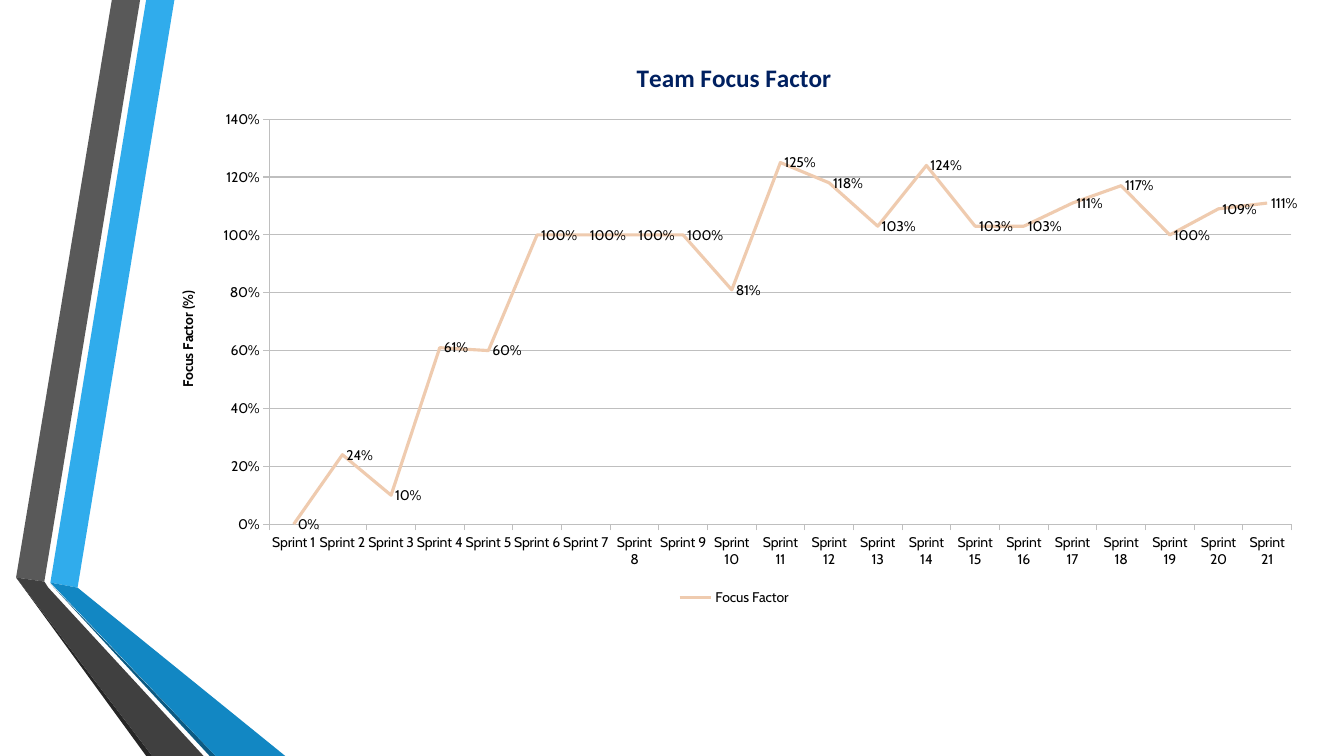
import pptx
import pptx.chart.data
import pptx.dml.color
import pptx.enum.chart
import pptx.oxml
import pptx.oxml.ns
import pptx.util
from pptx.dml.color import RGBColor
from pptx.util import Inches

WHITE = RGBColor(0xFF, 0xFF, 0xFF)
BLACK = RGBColor(0x00, 0x00, 0x00)
NAVY = RGBColor(0x00, 0x20, 0x60)
PEACH = RGBColor(0xEF, 0xCB, 0xAF)
GRID_GRAY = RGBColor(0xBF, 0xBF, 0xBF)
SKY_BLUE = RGBColor(0x30, 0xAC, 0xEC)
MID_BLUE = RGBColor(0x12, 0x87, 0xC3)
DARK_BLUE = RGBColor(0x0C, 0x5A, 0x82)
LIGHT_GRAY = RGBColor(0x59, 0x59, 0x59)
MID_GRAY = RGBColor(0x40, 0x40, 0x40)
DARK_GRAY = RGBColor(0x26, 0x26, 0x26)

# Ribbon outlines, in inches from the top left of their region
RIBBONS = [
    (SKY_BLUE, [(0.5, 5.78), (0.77, 5.83), (1.73, 0), (1.45, 0)]),
    (LIGHT_GRAY, [(1.39, 0), (1.11, 0), (0.16, 5.73), (0.44, 5.77)]),
    (DARK_GRAY, [(0.16, 5.73), (1.45, 7.5), (1.51, 7.5)]),
    (DARK_BLUE, [(0.5, 5.79), (2.08, 7.5), (2.14, 7.5)]),
    (MID_BLUE, [(0.5, 5.78), (2.14, 7.5), (2.83, 7.5), (0.77, 5.83)]),
    (MID_GRAY, [(2.02, 7.5), (0.48, 5.83), (0.44, 5.77), (0.16, 5.73), (1.51, 7.5)]),
]

FOCUS_FACTORS = [0, 0.24, 0.10, 0.61, 0.60, 1, 1, 1, 1, 0.81, 1.25, 1.18, 1.03,
                 1.24, 1.03, 1.03, 1.11, 1.17, 1, 1.09, 1.11]


def set_font(font, size, color, name, bold=False):
    font.size = pptx.util.Pt(size)
    font.color.rgb = color
    font.name = name
    font.bold = bold


def write_title(owner, text, size, color, name):
    frame = owner.text_frame
    frame.text = text
    set_font(frame.paragraphs[0].font, size, color, name, bold=True)


def style_line(line, color, width):
    line.color.rgb = color
    line.width = pptx.util.Pt(width)


def fix_plot_area(chart, left, top, width, height):
    """Place the inner plot area, in fractions of the chart."""
    plot_area = chart._chartSpace.chart.plotArea
    for old_layout in plot_area.findall(pptx.oxml.ns.qn("c:layout")):
        plot_area.remove(old_layout)
    sizes = "".join(f'<c:{tag} val="{value}"/>' for tag, value in
                    zip("xywh", (left, top, width, height)))
    plot_area.insert(0, pptx.oxml.parse_xml(
        f'<c:layout {pptx.oxml.ns.nsdecls("c")}><c:manualLayout>'
        '<c:layoutTarget val="inner"/><c:xMode val="edge"/><c:yMode val="edge"/>'
        f'{sizes}</c:manualLayout></c:layout>'))


def add_ribbons(page, left, top):
    for color, corners in RIBBONS:
        points = [(left + Inches(x), top + Inches(y)) for x, y in corners]
        builder = page.shapes.build_freeform(*points[0])
        builder.add_line_segments(points[1:], close=True)
        ribbon = builder.convert_to_shape()
        ribbon.shadow.inherit = False
        ribbon.fill.solid()
        ribbon.fill.fore_color.rgb = color
        ribbon.line.fill.background()


def add_focus_chart(page, left, top, width, height):
    data = pptx.chart.data.CategoryChartData(number_format="0%")
    data.categories = [f"Sprint {n}" for n in range(1, len(FOCUS_FACTORS) + 1)]
    data.add_series("Focus Factor", FOCUS_FACTORS)
    chart = page.shapes.add_chart(
        pptx.enum.chart.XL_CHART_TYPE.LINE, left, top, width, height, data).chart
    set_font(chart.font, 10, BLACK, "Cabin")
    fix_plot_area(chart, 0.1, 0.14, 0.88, 0.71)

    # Title and legend
    chart.has_title = True
    write_title(chart.chart_title, "Team Focus Factor", 18, NAVY, "Calibri")
    chart.chart_title.include_in_layout = False
    chart.has_legend = True
    chart.legend.position = pptx.enum.chart.XL_LEGEND_POSITION.BOTTOM
    chart.legend.include_in_layout = False

    # Axes
    percents = chart.value_axis
    percents.minimum_scale, percents.maximum_scale, percents.major_unit = 0, 1.4, 0.2
    percents.tick_labels.number_format = "0%"
    percents.tick_labels.number_format_is_linked = False
    write_title(percents.axis_title, "Focus Factor (%)", 10, BLACK, "Cabin")
    style_line(percents.major_gridlines.format.line, GRID_GRAY, 0.75)
    for axis in (percents, chart.category_axis):
        axis.major_tick_mark = pptx.enum.chart.XL_TICK_MARK.OUTSIDE
        style_line(axis.format.line, GRID_GRAY, 0.75)

    # Line and its labels
    plot = chart.plots[0]
    plot.vary_by_categories = False
    series = plot.series[0]
    series.smooth = False
    series.marker.style = pptx.enum.chart.XL_MARKER_STYLE.NONE
    style_line(series.format.line, PEACH, 2.25)
    labels = series.data_labels
    labels.show_value = True
    labels.position = pptx.enum.chart.XL_LABEL_POSITION.RIGHT
    labels.number_format = "0%"
    labels.number_format_is_linked = False
    set_font(labels.font, 10, BLACK, "Cabin")


def main():
    deck = pptx.Presentation()
    deck.slide_width, deck.slide_height = Inches(13.33), Inches(7.5)
    page = deck.slides.add_slide(deck.slide_layouts[6])
    page.background.fill.solid()
    page.background.fill.fore_color.rgb = WHITE
    add_ribbons(page, Inches(0), Inches(0))
    add_focus_chart(page, Inches(1.52), Inches(0.39), Inches(11.52), Inches(5.66))
    deck.save("out.pptx")


if __name__ == "__main__":
    main()
